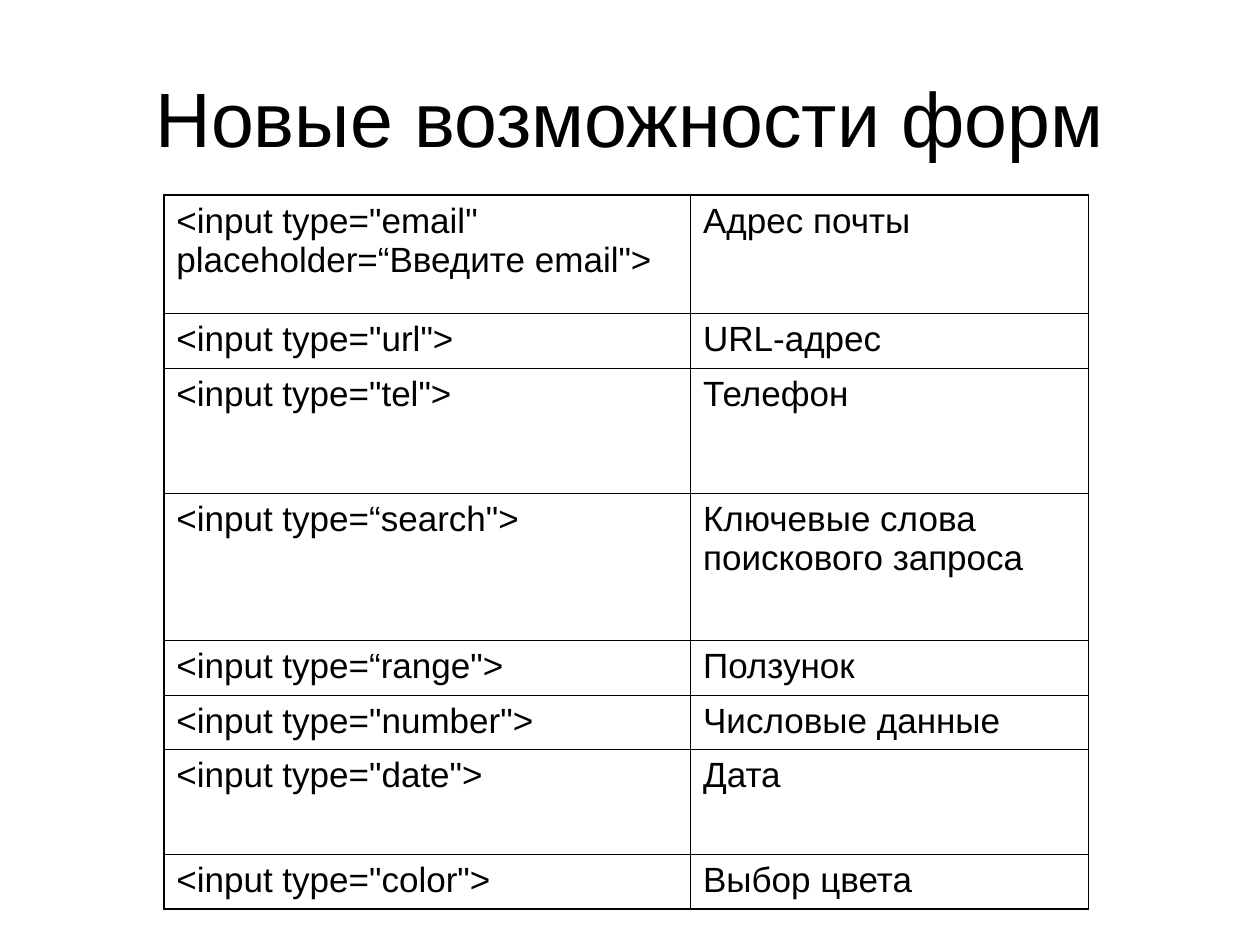
from dataclasses import dataclass

from lxml import etree
from pptx import Presentation
from pptx import util as u
from pptx.dml.color import RGBColor
from pptx.enum import text
from pptx.oxml import ns


@dataclass(frozen=True)
class Theme:
    font: str = "Arial"
    ink: str = "000000"
    head: int = 44
    body: int = 20
    thin: float = 0.45
    thick: float = 1.08


theme = Theme()


def write(para, words, size):
    run = para.add_run()
    run.text = words
    run.font.name = theme.font
    run.font.size = u.Pt(size)
    run.font.color.rgb = RGBColor.from_string(theme.ink)


def border(cell, side, width):
    props = cell._tc.get_or_add_tcPr()
    line = etree.SubElement(props, ns.qn("a:ln" + side), w=str(u.Pt(width)))
    fill = etree.SubElement(line, ns.qn("a:solidFill"))
    etree.SubElement(fill, ns.qn("a:srgbClr"), val=theme.ink)


deck = Presentation()
deck.slide_width, deck.slide_height = u.Inches(10), u.Inches(7.5)
slide = deck.slides.add_slide(deck.slide_layouts[6])

# Title
title = slide.shapes.add_textbox(u.Inches(0.5), u.Inches(0.3), u.Inches(9), u.Inches(1.25))
frame = title.text_frame
frame.word_wrap = True
frame.vertical_anchor = text.MSO_ANCHOR.MIDDLE
frame.paragraphs[0].alignment = text.PP_ALIGN.CENTER
write(frame.paragraphs[0], "Новые возможности форм", theme.head)

# Input types: row height, markup, meaning
rows = [
    (0.94, '<input type="email" placeholder=“Введите email">', "Адрес почты"),
    (0.43, '<input type="url">', "URL-адрес"),
    (0.99, '<input type="tel">', "Телефон"),
    (1.17, '<input type=“search">', "Ключевые слова поискового запроса"),
    (0.43, '<input type=“range">', "Ползунок"),
    (0.43, '<input type="number">', "Числовые данные"),
    (0.83, '<input type="date">', "Дата"),
    (0.43, '<input type="color">', "Выбор цвета"),
]
widths = [4.18, 3.16]

# Table grid
table = slide.shapes.add_table(
    len(rows), len(widths), u.Inches(1.3), u.Inches(1.55),
    u.Inches(sum(widths)), u.Inches(sum(row[0] for row in rows))).table
table.first_row = table.horz_banding = False
for col, width in zip(table.columns, widths):
    col.width = u.Inches(width)

# Cells: thick lines outside, thin lines inside
for r, (height, *words) in enumerate(rows):
    table.rows[r].height = u.Inches(height)
    for c, word in enumerate(words):
        cell = table.cell(r, c)
        edges = {"L": c == 0, "R": c == len(widths) - 1,
                 "T": r == 0, "B": r == len(rows) - 1}
        for side, outer in edges.items():
            border(cell, side, theme.thick if outer else theme.thin)
        cell.fill.background()
        write(cell.text_frame.paragraphs[0], word, theme.body)

deck.save("out.pptx")
